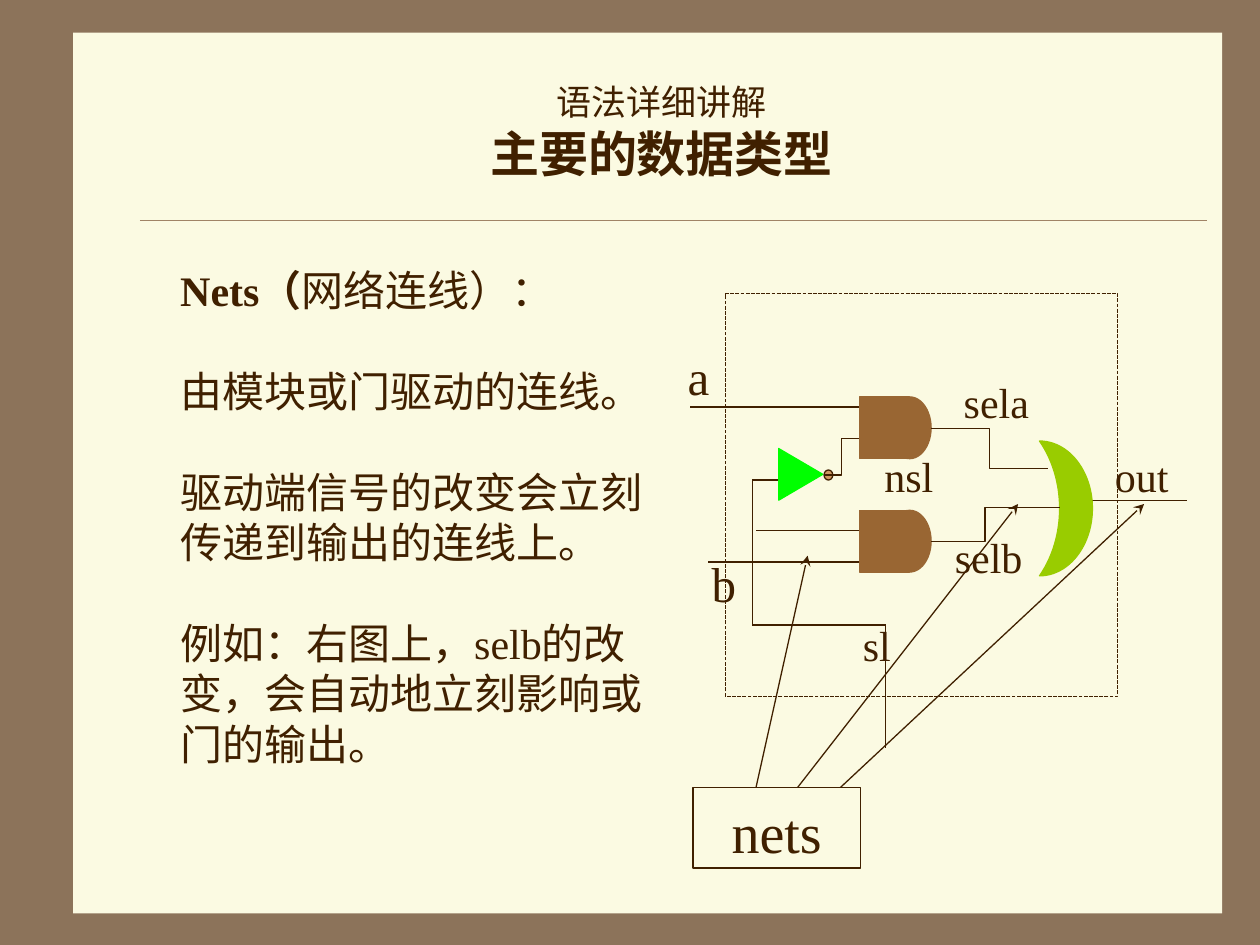
from collections import namedtuple

from lxml import etree
from pptx import Presentation
from pptx.dml.color import RGBColor
from pptx.enum.dml import MSO_LINE
from pptx.enum.shapes import MSO_CONNECTOR, MSO_SHAPE
from pptx.enum.text import MSO_ANCHOR, MSO_AUTO_SIZE, PP_ALIGN
from pptx.oxml.ns import qn
from pptx.util import Inches, Pt

STRAIGHT, ELBOW = MSO_CONNECTOR.STRAIGHT, MSO_CONNECTOR.ELBOW
RECT, OVAL = MSO_SHAPE.RECTANGLE, MSO_SHAPE.OVAL
TRIANGLE, MOON = MSO_SHAPE.ISOSCELES_TRIANGLE, MSO_SHAPE.MOON
DASH = MSO_LINE.SQUARE_DOT
TOP, MIDDLE = MSO_ANCHOR.TOP, MSO_ANCHOR.MIDDLE
LEFT, CENTER = PP_ALIGN.LEFT, PP_ALIGN.CENTER
NO_AUTOFIT = MSO_AUTO_SIZE.NONE

INK = RGBColor(0x40, 0x20, 0x00)
PAPER = RGBColor(0xFB, 0xFA, 0xE2)
BORDER = RGBColor(0x8C, 0x73, 0x5A)
RULE = RGBColor(0xA0, 0x83, 0x66)
GATE_BROWN = RGBColor(0x99, 0x66, 0x33)
INVERTER_GREEN = RGBColor(0x00, 0xFF, 0x00)
BUBBLE_TAN = RGBColor(0xCE, 0x99, 0x64)
OR_GREEN = RGBColor(0x99, 0xCC, 0x00)
SERIF, HAN = "Times New Roman", "Noto Sans CJK SC"

Box = namedtuple("Box", "left top width height")


def apply(target, formats):
    """Set every attribute in the dict on the target."""
    for name, value in formats.items():
        setattr(target, name, value)


def place(shape, box):
    """Move and size a shape to the box."""
    apply(shape, {name: Inches(value) for name, value in box._asdict().items()})


def inner(box, left, top, width, height):
    """Return a box given by its offset inside another box."""
    return Box(box.left + left, box.top + top, width, height)


def add_run(paragraph, text, size, latin=SERIF, bold=False):
    """Add a run of text in Latin and Chinese fonts."""
    run = paragraph.add_run()
    run.text = text
    apply(run.font, {"size": Pt(size), "bold": bold, "name": latin})
    run.font.color.rgb = INK
    etree.SubElement(run.font._element, qn("a:ea"), typeface=HAN)


def format_frame(frame, anchor=TOP, top=0.05, bottom=0.05, right=0.1, wrap=True):
    """Set the margins, anchor and wrapping of a text frame."""
    apply(frame, {
        "auto_size": NO_AUTOFIT, "word_wrap": wrap, "vertical_anchor": anchor,
        "margin_left": Inches(0.1), "margin_right": Inches(right),
        "margin_top": Inches(top), "margin_bottom": Inches(bottom),
    })


def add_block(slide, kind, box, fill=None, line=None):
    """Add a preset shape with a plain fill and outline."""
    block = slide.shapes.add_shape(kind, *map(Inches, box))
    block.shadow.inherit = False
    if fill is None:
        block.fill.background()
    else:
        block.fill.solid()
        block.fill.fore_color.rgb = fill
    if line is None:
        block.line.fill.background()
    else:
        block.line.color.rgb = line
        block.line.width = Pt(0.75)
    return block


def add_wire(slide, box, points, bend=None, arrow=False, color=INK, width=0.75):
    """Add a straight or bent line between two points offset from the box."""
    x1, y1, x2, y2 = points
    ends = (box.left + x1, box.top + y1, box.left + x2, box.top + y2)
    wire = slide.shapes.add_connector(
        ELBOW if bend else STRAIGHT, *map(Inches, ends))
    wire.line.color.rgb = color
    wire.line.width = Pt(width)
    properties = wire.element.spPr
    if bend:
        guides = properties.find(qn("a:prstGeom")).find(qn("a:avLst"))
        etree.SubElement(guides, qn("a:gd"), name="adj1",
                         fmla=f"val {round(bend * 100000)}")
    if arrow:
        etree.SubElement(properties.find(qn("a:ln")), qn("a:tailEnd"), type="stealth")
    etree.SubElement(properties, qn("a:effectLst"))


def add_page(slide, box):
    """Place the paper panel behind the text and the rule under the title."""
    slide.background.fill.solid()
    slide.background.fill.fore_color.rgb = BORDER
    panel = add_block(slide, RECT, box, PAPER)
    slide.shapes.title.element.addprevious(panel.element)
    add_wire(slide, box, (0.53, 1.49, 9, 1.49), color=RULE, width=0.25)


def add_title(slide, box):
    """Fill the title placeholder with the chapter and the topic."""
    title = slide.shapes.title
    place(title, box)
    format_frame(title.text_frame, MIDDLE, bottom=0.11)
    paragraph = title.text_frame.paragraphs[0]
    apply(paragraph, {"alignment": CENTER, "line_spacing": Pt(34)})
    add_run(paragraph, "语法详细讲解", 20, HAN)
    paragraph.add_line_break()
    add_run(paragraph, "主要的数据类型", 28, HAN, True)


def add_explanation(slide, box):
    """Fill the body placeholder with groups of lines set apart by spacing."""
    body = slide.placeholders[1]
    place(body, box)
    frame = body.text_frame
    format_frame(frame, top=0.1, right=0)
    groups = [
        [[("Nets（", True), ("网络连线）：", False)]],
        [[("由模块或门驱动的连线。", False)]],
        [[("驱动端信号的改变会立刻", False)], [("传递到输出的连线上。", False)]],
        [[("例如：右图上，selb的改", False)], [("变，会自动地立刻影响或", False)],
         [("门的输出。", False)]],
    ]
    for group_index, group in enumerate(groups):
        for line_index, line in enumerate(group):
            first = group_index == line_index == 0
            paragraph = frame.paragraphs[0] if first else frame.add_paragraph()
            starts_group = group_index > 0 and line_index == 0
            apply(paragraph, {
                "alignment": LEFT, "line_spacing": Pt(28.8),
                "space_before": Pt(28.8 if starts_group else 0),
            })
            properties = paragraph._p.get_or_add_pPr()
            apply_indent = {"marL": "0", "indent": "0"}
            properties.attrib.update(apply_indent)
            etree.SubElement(properties, qn("a:buNone"))
            for text, bold in line:
                add_run(paragraph, text, 24, bold=bold)


def add_gates(slide, box):
    """Place the two AND gates, the inverter and the OR gate."""
    for top in (1.15, 2.05):
        for kind, left, width in ((OVAL, 2.05, 0.34), (RECT, 1.82, 0.4)):
            add_block(slide, kind, inner(box, left, top, width, 0.49),
                      GATE_BROWN, GATE_BROWN)
    inverter = add_block(slide, TRIANGLE, inner(box, 1.15, 1.59, 0.41, 0.35),
                         INVERTER_GREEN, INVERTER_GREEN)
    inverter.rotation = 90
    add_block(slide, OVAL, inner(box, 1.54, 1.73, 0.07, 0.08), BUBBLE_TAN, INK)
    or_gate = add_block(slide, MOON, inner(box, 3.25, 1.5, 0.42, 1.07),
                        OR_GREEN, OR_GREEN)
    or_gate.rotation = 180
    or_gate.adjustments[0] = 0.62


def add_circuit(slide, box):
    """Draw the multiplexer circuit with its net labels and callout."""
    frame = add_block(slide, RECT, inner(box, 0.76, 0.33, 3.11, 3.2), line=INK)
    frame.line.dash_style = DASH
    callout = add_block(slide, RECT, inner(box, 0.5, 4.25, 1.33, 0.64), line=INK)
    format_frame(callout.text_frame, MIDDLE, top=0.1)
    callout.text_frame.paragraphs[0].alignment = CENTER
    add_run(callout.text_frame.paragraphs[0], "nets", 32)

    wires = [
        (0.48, 1.23, 1.82, 1.23), (0.62, 2.46, 1.82, 2.46),
        (3.59, 1.97, 4.42, 1.97), (1, 2.21, 1.83, 2.21),
        (1.18, 1.81, 0.97, 1.81), (0.97, 1.81, 0.97, 2.96),
        (0.97, 2.96, 2.03, 2.96), (2.03, 2.96, 2.03, 3.94),
    ]
    for points in wires:
        add_wire(slide, box, points)
    add_gates(slide, box)
    bent_wires = [
        ((1.54, 1.77, 1.82, 1.48), 0.5), ((2.39, 1.4, 3.32, 1.72), 0.5),
        ((2.39, 2.3, 3.41, 2.03), 0.42),
    ]
    for points, bend in bent_wires:
        add_wire(slide, box, points, bend)
    for points in ((1, 4.25, 1.41, 2.41), (1.33, 4.25, 3.08, 2),
                   (1.67, 4.25, 4.08, 2)):
        add_wire(slide, box, points, arrow=True)

    labels = [
        ("a", 28, 0.36, 0.7, 0.43), ("b", 28, 0.55, 2.34, 0.71),
        ("sl", 24, 1.75, 2.87, 0.92), ("selb", 24, 2.48, 2.17, 0.92),
        ("sela", 24, 2.55, 0.94, 0.92), ("nsl", 24, 1.92, 1.53, 0.92),
        ("out", 24, 3.75, 1.53, 0.83),
    ]
    for text, size, left, top, width in labels:
        label = slide.shapes.add_textbox(
            *map(Inches, inner(box, left, top, width, 0.6)))
        format_frame(label.text_frame, wrap=False)
        add_run(label.text_frame.paragraphs[0], text, size)


def main():
    """Build the slide and save it."""
    deck = Presentation()
    apply(deck, {"slide_width": Inches(10), "slide_height": Inches(7.5)})
    slide = deck.slides.add_slide(deck.slide_layouts[1])
    add_page(slide, Box(0.58, 0.26, 9.12, 6.99))
    add_title(slide, Box(1, 0.42, 8.5, 1.17))
    add_explanation(slide, Box(1.33, 2, 3.92, 5))
    add_circuit(slide, Box(5, 2, 4.5, 5))
    deck.save("out.pptx")


if __name__ == "__main__":
    main()
